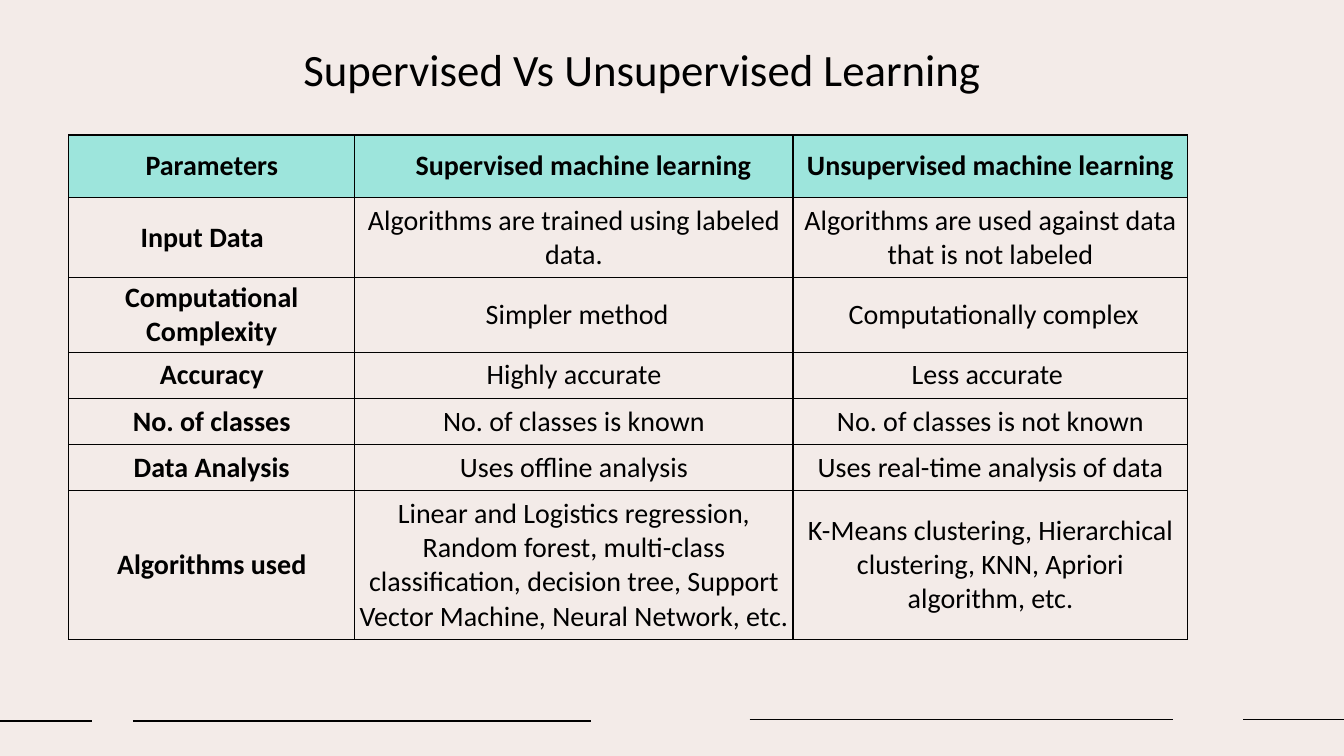
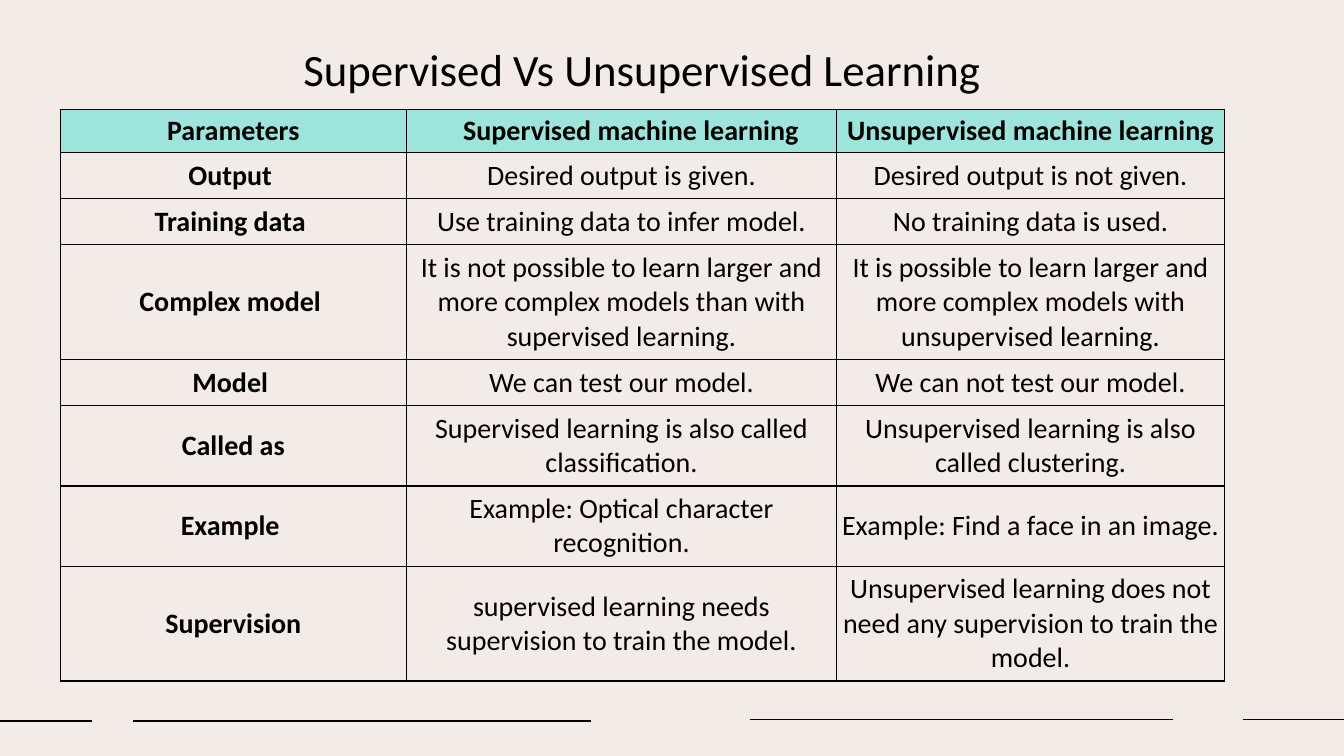
from dataclasses import dataclass

from lxml.etree import SubElement
from pptx import Presentation
from pptx.dml.color import RGBColor
from pptx.enum.shapes import MSO_CONNECTOR
from pptx.enum.text import MSO_ANCHOR, PP_ALIGN
from pptx.oxml.ns import qn
from pptx.util import Pt


@dataclass(frozen=True)
class Theme:
    paper: RGBColor = RGBColor(0xF3, 0xEB, 0xE8)
    ink: RGBColor = RGBColor(0x00, 0x00, 0x00)
    header: RGBColor = RGBColor(0x9D, 0xE5, 0xDC)
    font: str = "Calibri"
    title_size: float = 32
    cell_size: float = 20
    line_width: float = 1
    space_width: float = 4.5  # one blank at cell size


THEME = Theme()
TITLE = "Supervised Vs Unsupervised Learning"
HEADINGS = ["Parameters", ("Supervised machine learning", 3), "Unsupervised machine learning"]

# Footer rules: start, end, height on the slide
FOOTER_RULES = [(0, 66, 515), (95, 422.5, 515), (535.5, 838, 514), (888, 960, 514)]

# A cell is its text, or (text, blanks): blanks > 0 pad the left, < 0 the right
DATA_ROWS = [
    [("Input Data", -3), "Algorithms are trained using labeled data.",
     "Algorithms are used against data that is not labeled"],
    ["Computational Complexity", ("Simpler method", 1), ("Computationally complex", 1)],
    ["Accuracy", "Highly accurate", ("Less accurate", -1)],
    ["No. of classes", "No. of classes is known", "No. of classes is not known"],
    ["Data Analysis", "Uses offline analysis", "Uses real-time analysis of data"],
    ["Algorithms used",
     "Linear and Logistics regression, Random forest, multi-class classification, "
     "decision tree, Support Vector Machine, Neural Network, etc.",
     "K-Means clustering, Hierarchical clustering, KNN, Apriori algorithm, etc."],
]
MODEL_ROWS = [
    [("Output", -1), "Desired output is given.", "Desired output is not given."],
    [("Training data", -1), "Use training data to infer model.", "No training data is used."],
    [("Complex model", -1),
     "It is not possible to learn larger and more complex models than with supervised learning.",
     "It is possible to learn larger and more complex models with unsupervised learning."],
    [("Model", -1), "We can test our model.", "We can not test our model."],
    ["Called as", "Supervised learning is also called classification.",
     "Unsupervised learning is also called clustering."],
    [("Example", -1), "Example: Optical character recognition.",
     "Example: Find a face in an image."],
    ["Supervision", "supervised learning needs supervision to train the model.",
     "Unsupervised learning does not need any supervision to train the model."],
]


def write(frame, text, *, size, bold=False, align=PP_ALIGN.CENTER):
    frame.word_wrap = True
    paragraph = frame.paragraphs[0]
    paragraph.alignment = align
    run = paragraph.add_run()
    run.text = text
    run.font.name = THEME.font
    run.font.size = Pt(size)
    run.font.bold = bold
    run.font.color.rgb = THEME.ink


def add_title(slide, text):
    title = slide.shapes.add_textbox(Pt(183), Pt(26), Pt(551.5), Pt(46))
    write(title.text_frame, text, size=THEME.title_size)


def add_rule(slide, start, end, y):
    rule = slide.shapes.add_connector(MSO_CONNECTOR.STRAIGHT, Pt(start), Pt(y), Pt(end), Pt(y))
    rule.line.color.rgb = THEME.ink
    rule.line.width = Pt(THEME.line_width)
    SubElement(rule._element.spPr, qn("a:effectLst"))


def add_borders(cell):
    properties = cell._tc.get_or_add_tcPr()
    for side in ("lnL", "lnR", "lnT", "lnB"):
        border = SubElement(properties, qn(f"a:{side}"), w=str(Pt(THEME.line_width)))
        fill = SubElement(border, qn("a:solidFill"))
        SubElement(fill, qn("a:srgbClr"), val=str(THEME.ink))


def fill_cell(cell, content, is_header, is_label):
    text, blanks = content if isinstance(content, tuple) else (content, 0)
    add_borders(cell)
    if is_header:
        cell.fill.solid()
        cell.fill.fore_color.rgb = THEME.header
    else:
        cell.fill.background()
    # Insets, with the padding that moves a text off centre
    side = 1.4 if is_label else 2.8
    edge = 2.9 if is_header else 2.1 if is_label else 4.2
    cell.margin_left = Pt(side + max(blanks, 0) * THEME.space_width)
    cell.margin_right = Pt(side + max(-blanks, 0) * THEME.space_width)
    cell.margin_top = cell.margin_bottom = Pt(edge)
    cell.vertical_anchor = MSO_ANCHOR.MIDDLE
    write(cell.text_frame, text, size=THEME.cell_size, bold=is_header or is_label)


def add_comparison(slide, rows, left, top, widths, heights):
    rows = [HEADINGS, *rows]
    table = slide.shapes.add_table(len(rows), len(widths), Pt(left), Pt(top),
                                   Pt(sum(widths)), Pt(sum(heights))).table
    table.horz_banding = False
    for column, width in zip(table.columns, widths):
        column.width = Pt(width)
    for r, (row, height) in enumerate(zip(rows, heights)):
        table.rows[r].height = Pt(height)
        for c, content in enumerate(row):
            fill_cell(table.cell(r, c), content, is_header=r == 0, is_label=c == 0)


def add_slide(deck, rows, **placing):
    slide = deck.slides.add_slide(deck.slide_layouts[6])
    slide.background.fill.solid()
    slide.background.fill.fore_color.rgb = THEME.paper
    for rule in FOOTER_RULES:
        add_rule(slide, *rule)
    add_comparison(slide, rows, **placing)
    add_title(slide, TITLE)


def main():
    deck = Presentation()
    deck.slide_width, deck.slide_height = Pt(960), Pt(540)
    # Data, accuracy and algorithms
    add_slide(deck, DATA_ROWS, left=49, top=96.5, widths=[204.5, 313, 282],
              heights=[44.6, 57, 52.8, 32.7, 32.7, 32.7, 106])
    # Output, models and supervision
    add_slide(deck, MODEL_ROWS, left=43.2, top=78.5, widths=[247, 307.5, 277],
              heights=[30.6, 32.6, 32.6, 81.6, 32.6, 57, 57, 81.6])
    deck.save("out.pptx")


if __name__ == "__main__":
    main()
